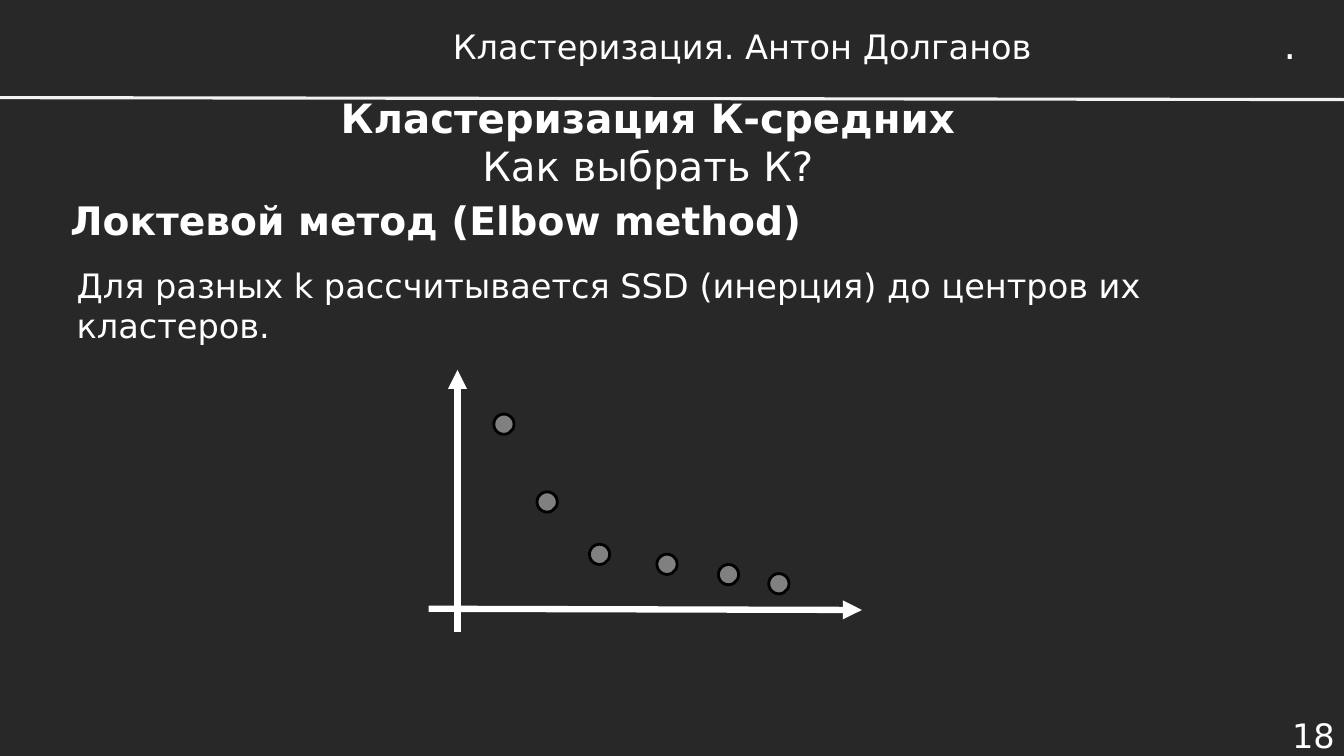
from dataclasses import dataclass

from lxml.etree import SubElement
from pptx import Presentation
from pptx.dml.color import RGBColor
from pptx.enum.shapes import MSO_CONNECTOR, MSO_SHAPE
from pptx.enum.text import MSO_ANCHOR, PP_ALIGN
from pptx.oxml.ns import qn
from pptx.util import Cm, Pt


@dataclass(frozen=True)
class Theme:
    font: str = "DejaVu Sans"
    back: str = "272827"
    ink: str = "FFFFFF"
    rule: str = "F2F2F2"
    dot: str = "808080"
    edge: str = "000000"
    title: float = 28.8
    head: float = 28
    body: float = 24


def color(code):
    return RGBColor.from_string(code)


class Deck:
    def __init__(self, theme):
        self.theme = theme
        self.show = Presentation()
        self.show.slide_width = Cm(33.87)
        self.show.slide_height = Cm(19.05)
        self.slide = self.show.slides.add_slide(self.show.slide_layouts[6])
        fill = self.slide.background.fill
        fill.solid()
        fill.fore_color.rgb = color(theme.back)

    def text(self, words, box, size, bold=False, align=PP_ALIGN.LEFT,
             anchor=MSO_ANCHOR.TOP, wrap=True):
        frame = self.slide.shapes.add_textbox(*map(Cm, box)).text_frame
        frame.word_wrap = wrap
        frame.vertical_anchor = anchor
        para = frame.paragraphs[0]
        para.text = words
        para.alignment = align
        font = para.font
        font.name = self.theme.font
        font.size = Pt(size)
        font.bold = bold
        font.color.rgb = color(self.theme.ink)
        return para

    def line(self, start, end, ink, width, arrow=False):
        line = self.slide.shapes.add_connector(
            MSO_CONNECTOR.STRAIGHT, *map(Cm, start + end))
        line.line.color.rgb = color(ink)
        line.line.width = Pt(width)
        props = line._element.spPr
        if arrow:
            SubElement(props.find(qn("a:ln")), qn("a:tailEnd"), type="triangle")
        SubElement(props, qn("a:effectLst"))

    def dot(self, x, y, size=0.51):
        box = (x - size / 2, y - size / 2, size, size)
        dot = self.slide.shapes.add_shape(MSO_SHAPE.OVAL, *map(Cm, box))
        dot.shadow.inherit = False
        dot.fill.solid()
        dot.fill.fore_color.rgb = color(self.theme.dot)
        dot.line.color.rgb = color(self.theme.edge)
        dot.line.width = Pt(2)


def main():
    theme = Theme()
    deck = Deck(theme)
    mid = MSO_ANCHOR.MIDDLE

    title = deck.text("Кластеризация К-средних", (5.33, 2.41, 22, 2.31),
                      theme.title, align=PP_ALIGN.CENTER, anchor=mid)
    title.runs[0].font.bold = True
    title.add_line_break()
    title.add_run().text = "Как выбрать К?"

    deck.text("18", (31.22, 17.98, 2.67, 1.07), theme.body,
              align=PP_ALIGN.RIGHT, anchor=mid)
    deck.text("Кластеризация. Антон Долганов", (8.74, 0.48, 19.94, 1.35),
              theme.body, align=PP_ALIGN.CENTER, anchor=mid)
    deck.line((0, 2.46), (33.87, 2.51), theme.rule, 2.25)
    deck.text(".", (32.1, 0.38, 0.86, 1.45), theme.head, wrap=False)
    deck.text("Локтевой метод (Elbow method)", (1.52, 4.83, 19.15, 1.45),
              theme.head, bold=True, wrap=False)

    axes = [((11.53, 15.93), (11.53, 9.32)), ((10.8, 15.34), (21.72, 15.37))]
    for start, end in axes:
        deck.line(start, end, theme.ink, 4.5, arrow=True)

    elbow = [(12.7, 10.69), (13.79, 12.65), (15.11, 13.97),
             (16.81, 14.22), (18.36, 14.48), (19.63, 14.71)]
    for x, y in elbow:
        deck.dot(x, y)

    deck.text("Для разных k рассчитывается SSD (инерция) до центров их кластеров.",
              (1.68, 6.55, 30.66, 2.31), theme.body)
    deck.show.save("out.pptx")


if __name__ == "__main__":
    main()
